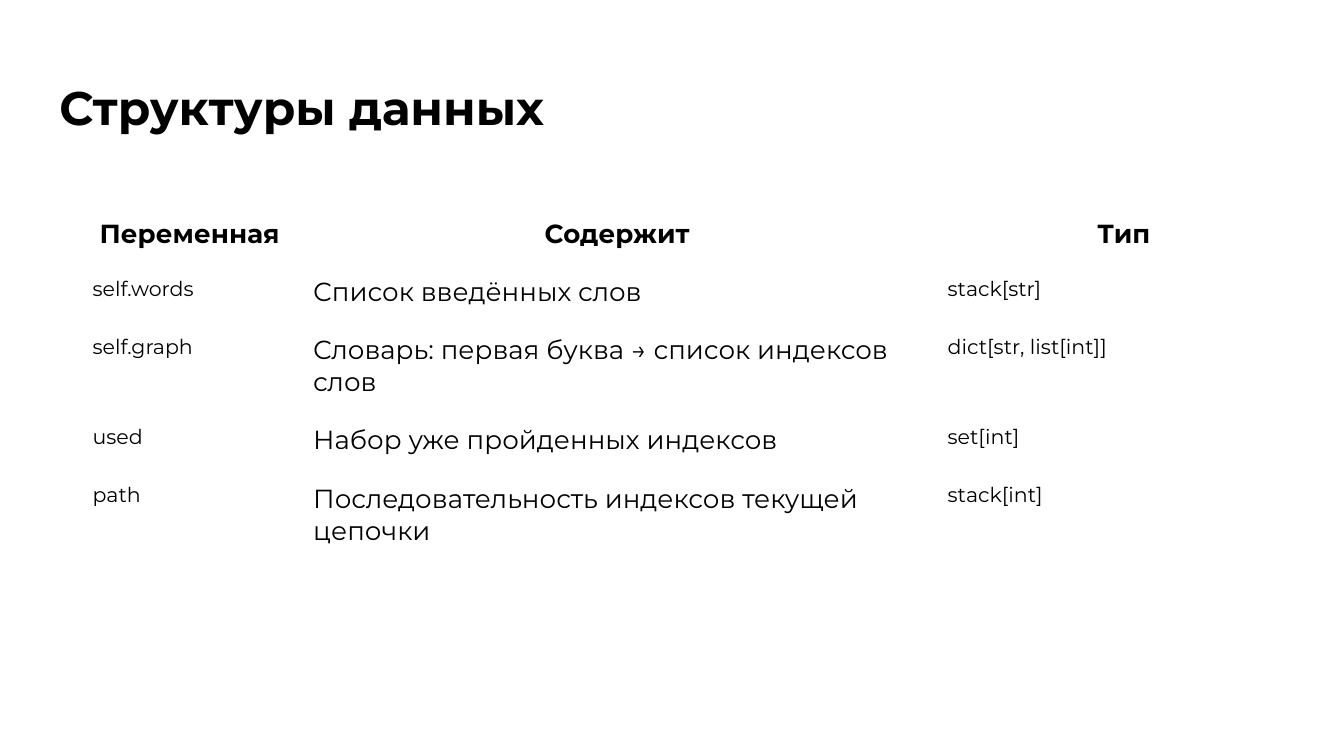
"""Build a slide with a table of the data structures a program uses."""
from pptx import Presentation
from pptx.dml.color import RGBColor
from pptx.enum.text import MSO_ANCHOR as Anchor, MSO_AUTO_SIZE as AutoSize, PP_ALIGN as Align
from pptx.util import Cm, Pt

INK = "000000"
MARGIN = Cm(0.25)
MARGINS = {f"margin_{side}": MARGIN for side in ("left", "right", "top", "bottom")}
HEADER = {"size": Pt(14), "bold": True}
CODE = {"size": Pt(11), "bold": False}
PROSE = {"size": Pt(14), "bold": False}

WIDTHS = [4.17, 11.99, 7.16]
HEIGHTS = [0.56, 0.56, 0.69, 0.56, 0.56]
ROWS = [
    ("Переменная", "Содержит", "Тип"),
    ("self.words", "Список введённых слов", "stack[str]"),
    ("self.graph", "Словарь: первая буква → список индексов слов", "dict[str, list[int]]"),
    ("used", "Набор уже пройденных индексов", "set[int]"),
    ("path", "Последовательность индексов текущей цепочки", "stack[int]"),
]


def set_all(target, values):
    """Set every attribute named in values."""
    for name, value in values.items():
        setattr(target, name, value)


def write(para, text, color, style):
    """Add one formatted run to a paragraph."""
    span = para.add_run()
    span.text = text
    set_all(span.font, {"name": "Montserrat", **style})
    span.font.color.rgb = RGBColor.from_string(color)


deck = Presentation()
set_all(deck, {"slide_width": Cm(25.4), "slide_height": Cm(14.29)})
page = deck.slides.add_slide(deck.slide_layouts[5])

title = page.shapes.title
set_all(title, {"left": Cm(0.87), "top": Cm(1.24), "width": Cm(23.67), "height": Cm(1.6)})
set_all(title.text_frame, {
    **MARGINS, "word_wrap": True, "auto_size": AutoSize.NONE, "vertical_anchor": Anchor.TOP,
})
heading = title.text_frame.paragraphs[0]
heading.alignment = Align.LEFT
write(heading, "Структуры данных", INK, {"size": Pt(25.2), "bold": True})

table = page.shapes.add_table(
    len(ROWS), len(WIDTHS), Cm(1.5), Cm(3.78), Cm(sum(WIDTHS)), Cm(sum(HEIGHTS))
).table
set_all(table, {"first_row": False, "horz_banding": False})
for column, width in zip(table.columns, WIDTHS):
    column.width = Cm(width)

for row, height, texts in zip(table.rows, HEIGHTS, ROWS):
    row.height = Cm(height)
    is_header = texts is ROWS[0]
    styles = [HEADER] * 3 if is_header else [CODE, PROSE, CODE]
    for cell, text, style in zip(row.cells, texts, styles):
        set_all(cell, {**MARGINS, "vertical_anchor": Anchor.TOP})
        cell.fill.background()
        para = cell.text_frame.paragraphs[0]
        if is_header:
            set_all(para, {"alignment": Align.CENTER, "line_spacing": 1.15})
        write(para, text, INK, style)

deck.save("out.pptx")
